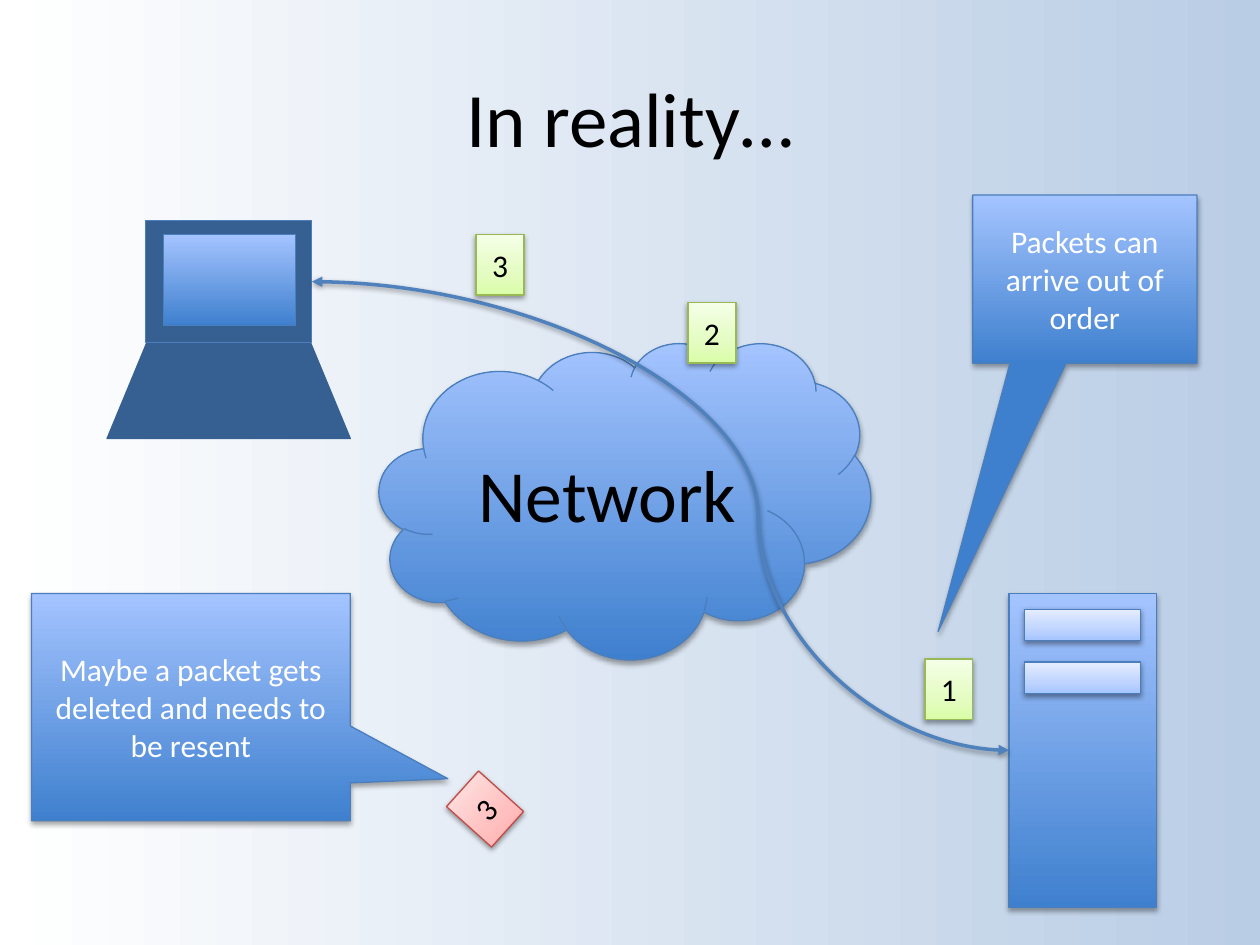
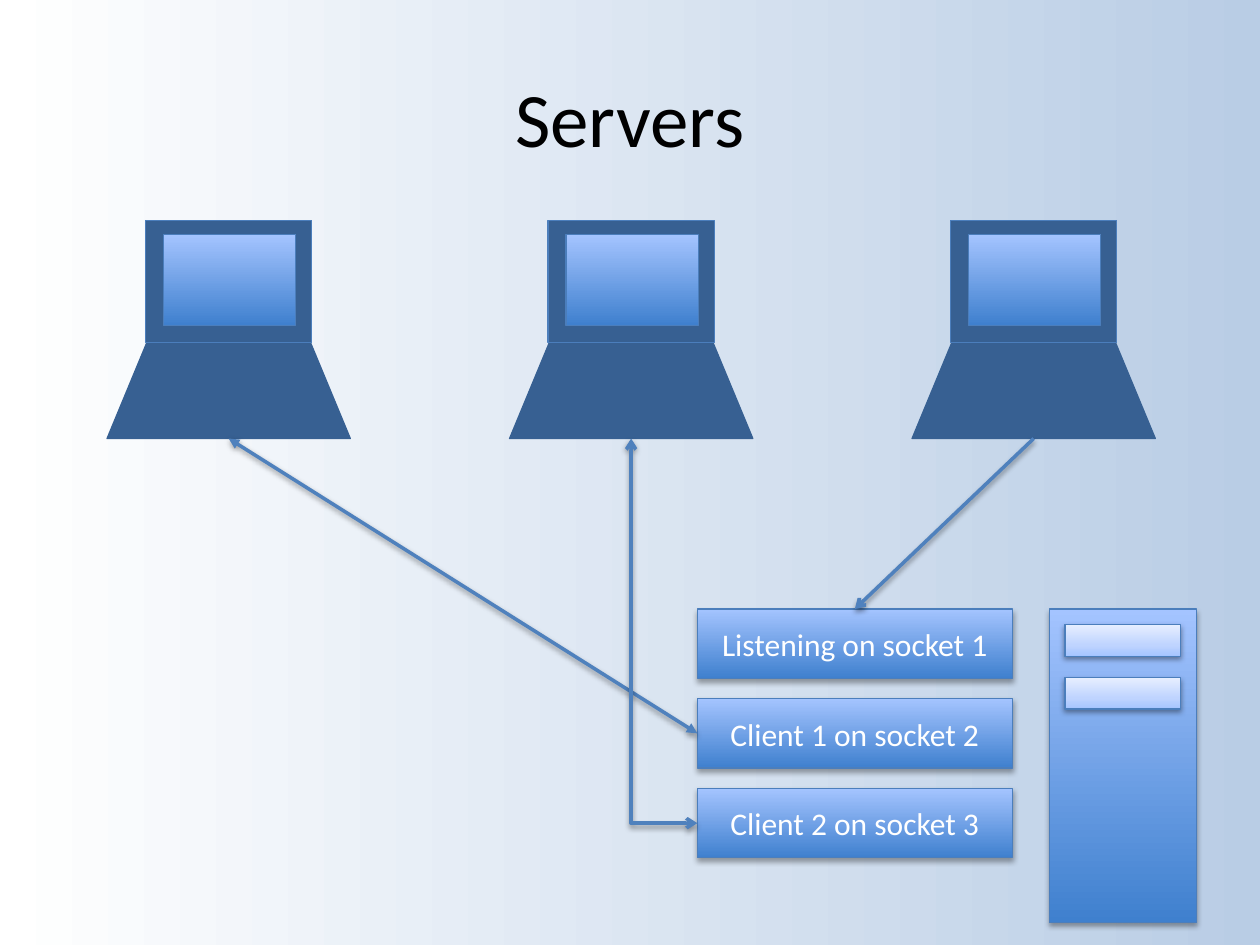
import copy
import pptx
import pptx.dml.color
import pptx.enum.shapes
import pptx.enum.text
import pptx.oxml
import pptx.oxml.ns
import pptx.util
from lxml import etree

Pt = pptx.util.Pt
RGBColor = pptx.dml.color.RGBColor
SHAPE = pptx.enum.shapes.MSO_SHAPE
CONNECTOR = pptx.enum.shapes.MSO_CONNECTOR
qn = pptx.oxml.ns.qn

# Shared look
FONT = "Calibri"
BLACK = RGBColor(0x00, 0x00, 0x00)
WHITE = RGBColor(0xFF, 0xFF, 0xFF)
PALE_BLUE = RGBColor(0xB9, 0xCD, 0xE5)
NAVY = RGBColor(0x37, 0x60, 0x92)
EDGE_BLUE = RGBColor(0x4B, 0x7E, 0xBC)
EDGE_GREEN = RGBColor(0x98, 0xB9, 0x55)
EDGE_RED = RGBColor(0xBF, 0x4C, 0x48)
ARROW_BLUE = RGBColor(0x4F, 0x81, 0xBD)
# Gradients as (position, colour), from bottom to top
BLUE = [(0, RGBColor(0x3F, 0x80, 0xCE)), (1, RGBColor(0xA4, 0xC4, 0xFF))]
LIGHT_BLUE = [(0, RGBColor(0xA4, 0xC4, 0xFF)), (0.35, RGBColor(0xBF, 0xD4, 0xFF)),
              (1, RGBColor(0xE6, 0xEE, 0xFF))]
GREEN = [(0, RGBColor(0xDA, 0xFD, 0xA7)), (0.35, RGBColor(0xE4, 0xFC, 0xC2)),
         (1, RGBColor(0xF5, 0xFF, 0xE7))]
RED = [(0, RGBColor(0xFF, 0xA6, 0xA5)), (0.35, RGBColor(0xFF, 0xC0, 0xBF)),
       (1, RGBColor(0xFF, 0xE7, 0xE7))]
STRONG_SHADOW = (35, 1.8)  # opacity in percent, distance
SOFT_SHADOW = (38, 1.6)

# Sizes of the repeated parts
LAPTOP_W, LAPTOP_H = 139, 124.6
LID_LEFT, LID_W, LID_H = 22, 95, 69.9
SERVER_W, SERVER_H = 84.2, 179.3
PACKET_W, PACKET_H = 27.4, 34.6


def paint_gradient(fill, stops, angle):
    fill.gradient()
    fill.gradient_angle = angle
    first = fill.gradient_stops[0]._gs
    for _ in stops[2:]:
        first.addnext(copy.deepcopy(first))
    for stop, (position, color) in zip(fill.gradient_stops, stops):
        stop.position = position
        stop.color.rgb = color


def add_shadow(effects, opacity, distance):
    outer = etree.SubElement(effects, qn("a:outerShdw"), blurRad=str(Pt(3.1)),
                             dist=str(Pt(distance)), dir="5400000", rotWithShape="0")
    black = etree.SubElement(outer, qn("a:srgbClr"), val="000000")
    etree.SubElement(black, qn("a:alpha"), val=str(opacity * 1000))


def put_text(shape, text, size=18, color=WHITE):
    frame = shape.text_frame
    frame.word_wrap = True
    frame.vertical_anchor = pptx.enum.text.MSO_ANCHOR.MIDDLE
    paragraph = frame.paragraphs[0]
    paragraph.alignment = pptx.enum.text.PP_ALIGN.CENTER
    run = paragraph.add_run()
    run.text = text
    run.font.name = FONT
    run.font.size = Pt(size)
    run.font.color.rgb = color


def add_block(slide, kind, box, fill=BLUE, edge=EDGE_BLUE, shadow=None, adjust=()):
    block = slide.shapes.add_shape(kind, *map(Pt, box))
    if isinstance(fill, list):
        paint_gradient(block.fill, fill, 90)
    else:
        block.fill.solid()
        block.fill.fore_color.rgb = fill
    block.line.color.rgb = edge
    block.line.width = Pt(0.75)
    block.shadow.inherit = False
    if shadow:
        add_shadow(block._element.spPr.find(qn("a:effectLst")), *shadow)
    for index, value in enumerate(adjust):
        block.adjustments[index] = value
    return block


def add_arrow(slide, start, end, kind=CONNECTOR.STRAIGHT, head=None, tail=None):
    arrow = slide.shapes.add_connector(kind, *map(Pt, start + end))
    arrow.line.color.rgb = ARROW_BLUE
    arrow.line.width = Pt(2)
    properties = arrow._element.spPr
    outline = properties.find(qn("a:ln"))
    for tag, style in (("a:headEnd", head), ("a:tailEnd", tail)):
        if style:
            etree.SubElement(outline, qn(tag), type=style)
    add_shadow(etree.SubElement(properties, qn("a:effectLst")), *SOFT_SHADOW)
    return arrow


def add_curve(slide, start, end, bend):
    curve = add_arrow(slide, start, end, CONNECTOR.CURVE, "triangle", "triangle")
    geometry = curve._element.spPr.find(qn("a:prstGeom"))
    guides = geometry.find(qn("a:avLst"))
    if guides is None:
        guides = etree.SubElement(geometry, qn("a:avLst"))
    etree.SubElement(guides, qn("a:gd"), name="adj1", fmla=f"val {round(bend * 100000)}")


def add_corner(slide, start, end):
    """Goes down, then right: a one-bend connector turned a quarter and flipped."""
    middle_x, middle_y = (start[0] + end[0]) / 2, (start[1] + end[1]) / 2
    half_w, half_h = (end[1] - start[1]) / 2, (end[0] - start[0]) / 2
    corner = add_arrow(slide, (middle_x - half_w, middle_y - half_h),
                       (middle_x + half_w, middle_y + half_h),
                       CONNECTOR.ELBOW, "arrow", "arrow")
    properties = corner._element.spPr
    properties.find(qn("a:prstGeom")).set("prst", "bentConnector2")
    placement = properties.find(qn("a:xfrm"))
    placement.set("rot", "16200000")
    placement.set("flipH", "1")


def add_titled_slide(deck, title):
    slide = deck.slides.add_slide(deck.slide_layouts[6])
    paint_gradient(slide.background.fill, [(0, WHITE), (1, PALE_BLUE)], 0)
    put_text(slide.shapes.add_textbox(Pt(36), Pt(21.6), Pt(648), Pt(90)),
             title, size=44, color=BLACK)
    return slide


def add_laptop(slide, left, top):
    # Keyboard, lid, display
    add_block(slide, SHAPE.TRAPEZOID, (left, top + LID_H, LAPTOP_W, LAPTOP_H - LID_H),
              fill=NAVY, edge=NAVY, adjust=[0.415])
    add_block(slide, SHAPE.RECTANGLE, (left + LID_LEFT, top, LID_W, LID_H), fill=NAVY)
    add_block(slide, SHAPE.RECTANGLE, (left + 32.2, top + 8, 75.6, 51.9))


def add_server(slide, left, top):
    # Case and two drive slots
    add_block(slide, SHAPE.RECTANGLE, (left, top, SERVER_W, SERVER_H), shadow=STRONG_SHADOW)
    for slot in range(2):
        add_block(slide, SHAPE.RECTANGLE, (left + 9, top + 9 + 30.2 * slot, 66.2, 18),
                  fill=LIGHT_BLUE, shadow=SOFT_SHADOW)


def add_packet(slide, left, top, number, fill=GREEN, edge=EDGE_GREEN, turn=0):
    packet = add_block(slide, SHAPE.RECTANGLE, (left, top, PACKET_W, PACKET_H),
                       fill=fill, edge=edge, shadow=SOFT_SHADOW)
    packet.rotation = turn
    put_text(packet, number, color=BLACK)


def add_callout(slide, box, text, pointer):
    put_text(add_block(slide, SHAPE.RECTANGULAR_CALLOUT, box,
                       shadow=STRONG_SHADOW, adjust=pointer), text)


def build_reality(deck):
    slide = add_titled_slide(deck, "In reality…")
    laptop = (61.2, 126)
    server = (576.6, 339.1)

    # Network between the two machines
    cloud = add_block(slide, SHAPE.CLOUD, (216.7, 195.8, 280.8, 180.7), shadow=STRONG_SHADOW)
    put_text(cloud, "Network", size=42, color=BLACK)
    add_server(slide, *server)
    add_laptop(slide, *laptop)
    add_curve(slide, (laptop[0] + LID_LEFT + LID_W, laptop[1] + LID_H / 2),
              (server[0], server[1] + SERVER_H / 2), bend=0.64)

    # Packets on their way, and the lost one
    add_packet(slide, 528.5, 376.6, "1")
    add_packet(slide, 393.1, 172.8, "2")
    add_packet(slide, 263.5, 445, "3", fill=RED, edge=EDGE_RED, turn=312)
    add_packet(slide, 272, 133.9, "3")

    # Remarks
    add_callout(slide, (18, 339.1, 182.2, 129.9),
                "Maybe a packet gets deleted and needs to be resent", (0.806, 0.315))
    add_callout(slide, (555.8, 111.5, 128.2, 96),
                "Packets can arrive out of order", (-0.654, 2.098))


def build_servers(deck):
    slide = add_titled_slide(deck, "Servers")
    add_server(slide, 599.6, 348)

    # Clients in a row
    laptop_top = 126
    laptop_lefts = [61.2 + 230 * column for column in range(3)]
    for left in laptop_lefts:
        add_laptop(slide, left, laptop_top)
    first, second, third = [(left + LAPTOP_W / 2, laptop_top + LAPTOP_H)
                            for left in laptop_lefts]

    # Sockets in a stack
    socket_left, socket_top, socket_w, socket_h, pitch = 398.5, 348, 180, 39.6, 51.3
    sockets = ["Listening on socket 1", "Client 1 on socket 2", "Client 2 on socket 3"]
    for row, label in enumerate(sockets):
        put_text(add_block(slide, SHAPE.RECTANGLE,
                           (socket_left, socket_top + pitch * row, socket_w, socket_h),
                           shadow=STRONG_SHADOW), label)
    ports = [(socket_left, socket_top + pitch * row + socket_h / 2) for row in range(3)]

    # Connections
    add_arrow(slide, first, ports[1], head="triangle", tail="triangle")
    add_arrow(slide, third, (socket_left + socket_w / 2, socket_top), tail="arrow")
    add_corner(slide, second, ports[2])


deck = pptx.Presentation()
deck.slide_width, deck.slide_height = Pt(720), Pt(540)
build_reality(deck)
build_servers(deck)
deck.save("out.pptx")
